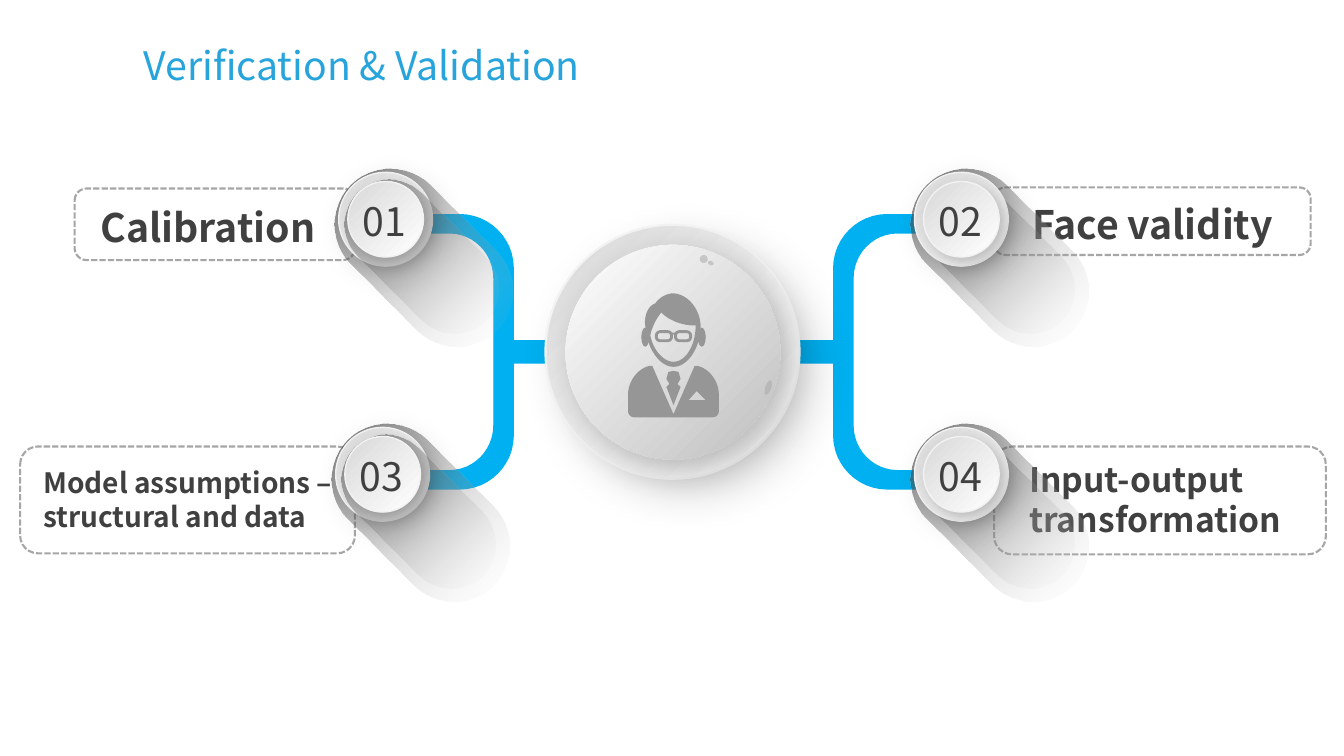
from dataclasses import dataclass
from lxml import etree
from pptx import Presentation
from pptx.dml.color import RGBColor
from pptx.enum.dml import MSO_LINE
from pptx.enum.shapes import MSO_SHAPE
from pptx.enum.text import MSO_AUTO_SIZE, PP_ALIGN
from pptx.oxml.ns import qn
from pptx.util import Inches, Pt

ROUNDED, OVAL, RECTANGLE = MSO_SHAPE.ROUNDED_RECTANGLE, MSO_SHAPE.OVAL, MSO_SHAPE.RECTANGLE
DASH = MSO_LINE.SQUARE_DOT
LEFT, CENTER = PP_ALIGN.LEFT, PP_ALIGN.CENTER
FIT = MSO_AUTO_SIZE.SHAPE_TO_FIT_TEXT


@dataclass(frozen=True)
class Theme:
    font: str = "Noto Sans CJK SC"
    title: str = "26A4DB"
    text: str = "404040"
    accent: str = "00B0F0"
    dash: str = "A6A6A6"
    icon: str = "969696"
    rim: str = "F2F2F2"
    raised: tuple = (("D9D9D9", 100), ("FFFFFF", 100))
    domed: tuple = (("FFFFFF", 100), ("BFBFBF", 100))
    long_shade: tuple = (("1C1C1C", 69), ("F2F2F2", 0))
    short_shade: tuple = (("1C1C1C", 55), ("F2F2F2", 0))
    large: int = 28
    medium: int = 24
    small: int = 20


THEME = Theme()
WIDTH, HEIGHT = 13.33, 7.5
AXIS_X, AXIS_Y = 6.68, 3.49
TITLE = ("Verification & Validation", (1.33, 0.36, 4.76, 0.57))
TOPICS = [
    ("Calibration", THEME.large, (0.74, 1.87, 2.78, 0.71), (0.9, 1.97, 2.43, 0.53)),
    ("Model assumptions – structural and data", THEME.small,
     (0.2, 4.43, 3.32, 1.06), (0.33, 4.57, 3.19, 0.78)),
    ("Face validity", THEME.large, (9.86, 1.86, 3.14, 0.67), (10.14, 1.94, 2.73, 0.88)),
    ("Input-output transformation", THEME.medium,
     (9.86, 4.43, 3.29, 1.07), (10.11, 4.5, 2.89, 0.92)),
]
BADGES = [("01", 3.36, 1.71), ("03", 3.33, 4.24), ("02", 9.07, 1.71), ("04", 9.07, 4.24)]
HALF_BRACKET = [(4.9, 2.76), (4.9, 2.31, 4.46, 2.31), (3.78, 2.31), (3.78, 2.13),
                (4.56, 2.13), (5.09, 2.13, 5.09, 2.66), (5.09, 3.38), (5.61, 3.38)]
HEAD = [(6.4, 3.24), (6.37, 3.05, 6.5, 3.01), (6.56, 2.91, 6.68, 2.91),
        (6.95, 2.93, 6.95, 3.25), (6.93, 3.64, 6.68, 3.64), (6.43, 3.64, 6.4, 3.24)]
FACE = [(6.56, 3.1), (6.68, 3.24, 6.9, 3.23), (6.9, 3.59, 6.68, 3.59),
        (6.5, 3.59, 6.45, 3.33), (6.47, 3.2, 6.56, 3.1)]
HALF_SUIT = [(6.68, 4.11), (6.89, 3.63), (6.92, 3.63), (7.13, 3.68, 7.13, 3.91),
             (7.13, 4.08), (7.13, 4.14, 7.07, 4.14)]
POCKET = [(6.83, 3.97), (6.91, 3.88), (7, 3.97)]
HALF_TIE = [(6.68, 3.68), (6.73, 3.69), (6.75, 3.76), (6.72, 3.81), (6.75, 3.84), (6.68, 4.02)]
EAR = (6.36, 3.25, 0.08, 0.19)
LENS = (6.51, 3.29, 0.15, 0.09)
BRIDGE = (6.65, 3.3, 0.06, 0.02)
GLINTS = [(6.94, 2.53, 0.08, 0.08), (7.02, 2.59, 0.06, 0.04), (7.59, 3.77, 0.06, 0.15)]

presentation = Presentation()
presentation.slide_width, presentation.slide_height = Inches(WIDTH), Inches(HEIGHT)
slide = presentation.slides.add_slide(presentation.slide_layouts[6])


def color(code):
    return RGBColor.from_string(code)


def set_alpha(element, percent):
    etree.SubElement(element, qn("a:alpha"), val=str(percent * 1000))


def set_line(shape, code=None, width=1):
    if code is None:
        shape.line.fill.background()
    else:
        shape.line.color.rgb = color(code)
        shape.line.width = Pt(width)


def set_solid(shape, code, opacity=100):
    shape.fill.solid()
    shape.fill.fore_color.rgb = color(code)
    set_alpha(shape._element.spPr.find(qn("a:solidFill"))[0], opacity)


def set_gradient(shape, stops, angle):
    shape.fill.gradient()
    shape.fill.gradient_angle = (360 - angle) % 360
    for stop, (code, _) in zip(shape.fill.gradient_stops, stops):
        stop.color.rgb = color(code)
    gradient = shape._element.spPr.find(qn("a:gradFill"))
    for element, (_, percent) in zip(gradient.iter(qn("a:srgbClr")), stops):
        set_alpha(element, percent)


def add_preset(kind, box):
    shape = slide.shapes.add_shape(kind, *map(Inches, box))
    shape.shadow.inherit = False
    return shape


def add_spot(kind, box, code, opacity=100):
    shape = add_preset(kind, box)
    set_solid(shape, code, opacity)
    set_line(shape)
    return shape


def add_disc(left, top, size, stops, rim, rim_width, opacity, blur, distance):
    shape = add_preset(OVAL, (left, top, size, size))
    set_gradient(shape, stops, 45)
    set_line(shape, rim, rim_width)
    effects = shape._element.spPr.find(qn("a:effectLst"))
    shadow = etree.SubElement(effects, qn("a:outerShdw"), blurRad=str(Pt(blur)),
                              dist=str(Pt(distance)), dir=str(45 * 60000), algn="tl",
                              rotWithShape="0")
    set_alpha(etree.SubElement(shadow, qn("a:srgbClr"), val="000000"), opacity)


def add_shade(box, stops):
    shape = add_preset(ROUNDED, box)
    shape.adjustments[0] = 0.5
    shape.rotation = 45
    set_gradient(shape, stops, 0)
    set_line(shape)


def add_text(text, box, size, code=THEME.text, bold=False, align=LEFT, wrap=True):
    frame = slide.shapes.add_textbox(*map(Inches, box)).text_frame
    frame.word_wrap = wrap
    frame.auto_size = FIT
    paragraph = frame.paragraphs[0]
    paragraph.alignment = align
    run = paragraph.add_run()
    run.text = text
    run.font.name, run.font.size, run.font.bold = THEME.font, Pt(size), bold
    run.font.color.rgb = color(code)


def flatten(contour, steps=12, roundness=0.55):
    points = [contour[0]]
    for segment in contour[1:]:
        start, corner, end = points[-1], segment[:2], segment[-2:]
        if len(segment) == 2:
            points.append(end)
            continue
        for t in (step / steps for step in range(1, steps + 1)):
            pull = 3 * t * (1 - t)
            near_start = (1 - t) ** 3 + pull * (1 - t) * (1 - roundness)
            near_end = t ** 3 + pull * t * (1 - roundness)
            points.append(tuple(near_start * a + pull * roundness * b + near_end * c
                                for a, b, c in zip(start, corner, end)))
    return points


def flip_x(points):
    return [(2 * AXIS_X - x, y) for x, y in points]


def flip_y(points):
    return [(x, 2 * AXIS_Y - y) for x, y in points]


def symmetric(half, flip):
    points = flatten(half)
    return points + flip(points)[::-1]


def add_outline(contours, code, line=None):
    scaled = [[(Inches(x), Inches(y)) for x, y in points] for points in contours]
    builder = slide.shapes.build_freeform(*scaled[0][0], scale=1.0)
    for index, points in enumerate(scaled):
        if index:
            builder.move_to(*points[0])
        builder.add_line_segments(points[1:], close=True)
    shape = builder.convert_to_shape()
    shape.shadow.inherit = False
    set_solid(shape, code)
    set_line(shape, line)


def mirrored(box):
    left, top, width, height = box
    return (2 * AXIS_X - left - width, top, width, height)


for text, size, frame_box, text_box in TOPICS:
    frame = add_preset(ROUNDED, frame_box)
    frame.fill.background()
    set_line(frame, THEME.dash, 1.5)
    frame.line.dash_style = DASH
    add_text(text, text_box, size, bold=True)

bracket = symmetric(HALF_BRACKET, flip_y)
for points in (flip_x(bracket), bracket):
    add_outline([points], THEME.accent, THEME.accent)

for number, left, top in BADGES:
    short_box = (left - 0.07, top + 0.39, 1.79, 0.89)
    on_left = left < AXIS_X
    add_shade((left - 0.18, top + 0.29, 2.04, 1.11), THEME.long_shade)
    if not on_left:
        add_shade(short_box, THEME.short_shade)
    add_disc(left, top, 0.93, THEME.raised, THEME.rim, 1, 15, 20, 8)
    if on_left:
        add_shade(short_box, THEME.short_shade)
    add_disc(left + 0.09, top + 0.09, 0.75, THEME.raised, THEME.rim, 1, 25, 13, 6)
    add_text(number, (left + 0.08, top + 0.2, 0.75, 0.57), THEME.large, align=CENTER)

add_disc(5.41, 2.23, 2.52, THEME.raised, THEME.rim, 1.5, 15, 29, 15)
add_disc(5.61, 2.43, 2.13, THEME.domed, None, 0, 25, 24, 10)
for box in GLINTS:
    glint = add_spot(OVAL, box, THEME.dash, 50)
    glint.rotation = 20

add_outline([flatten(HEAD), flatten(FACE)], THEME.icon)
for side in (tuple, mirrored):
    add_spot(OVAL, side(EAR), THEME.icon)
    lens = add_preset(ROUNDED, side(LENS))
    lens.adjustments[0] = 0.4
    lens.fill.background()
    set_line(lens, THEME.icon, 2)
add_spot(RECTANGLE, BRIDGE, THEME.icon)
add_outline([symmetric(HALF_SUIT, flip_x), POCKET], THEME.icon)
add_outline([symmetric(HALF_TIE, flip_x)], THEME.icon)

add_text(*TITLE, THEME.large, THEME.title, wrap=False)
presentation.save("out.pptx")
